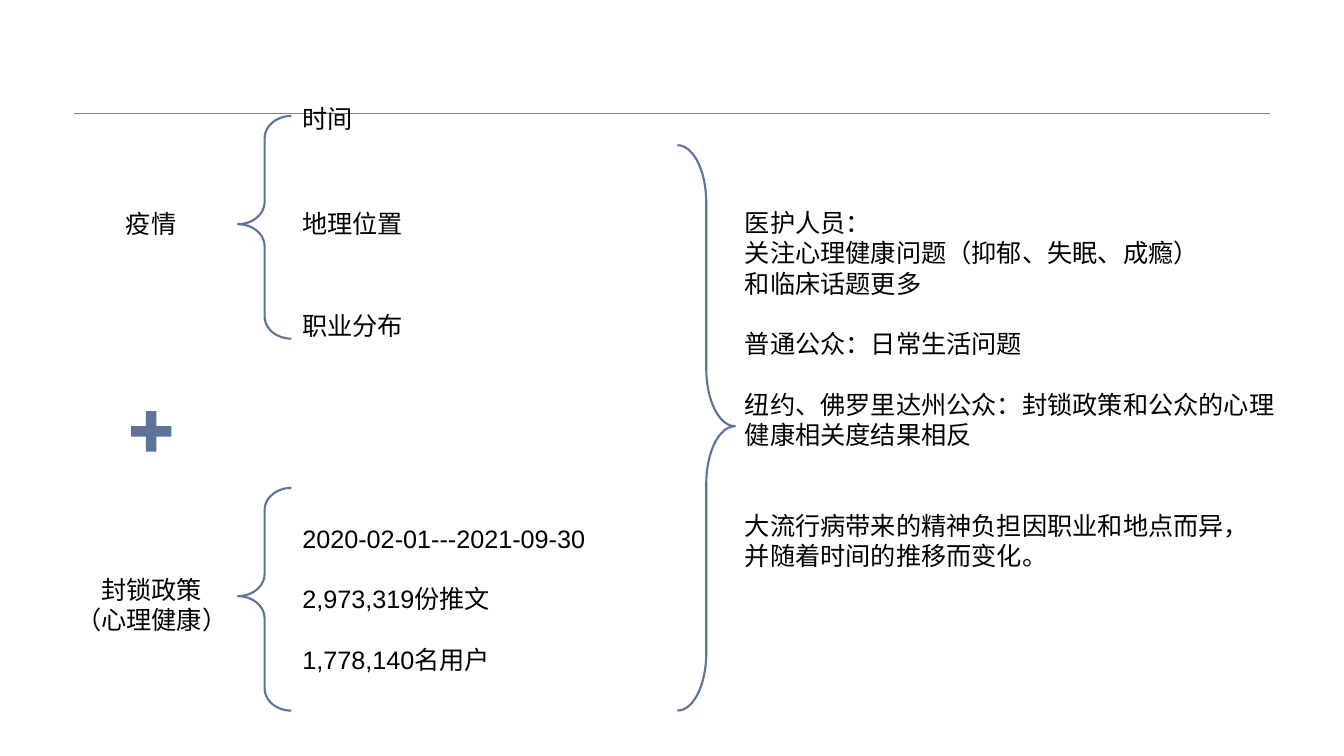
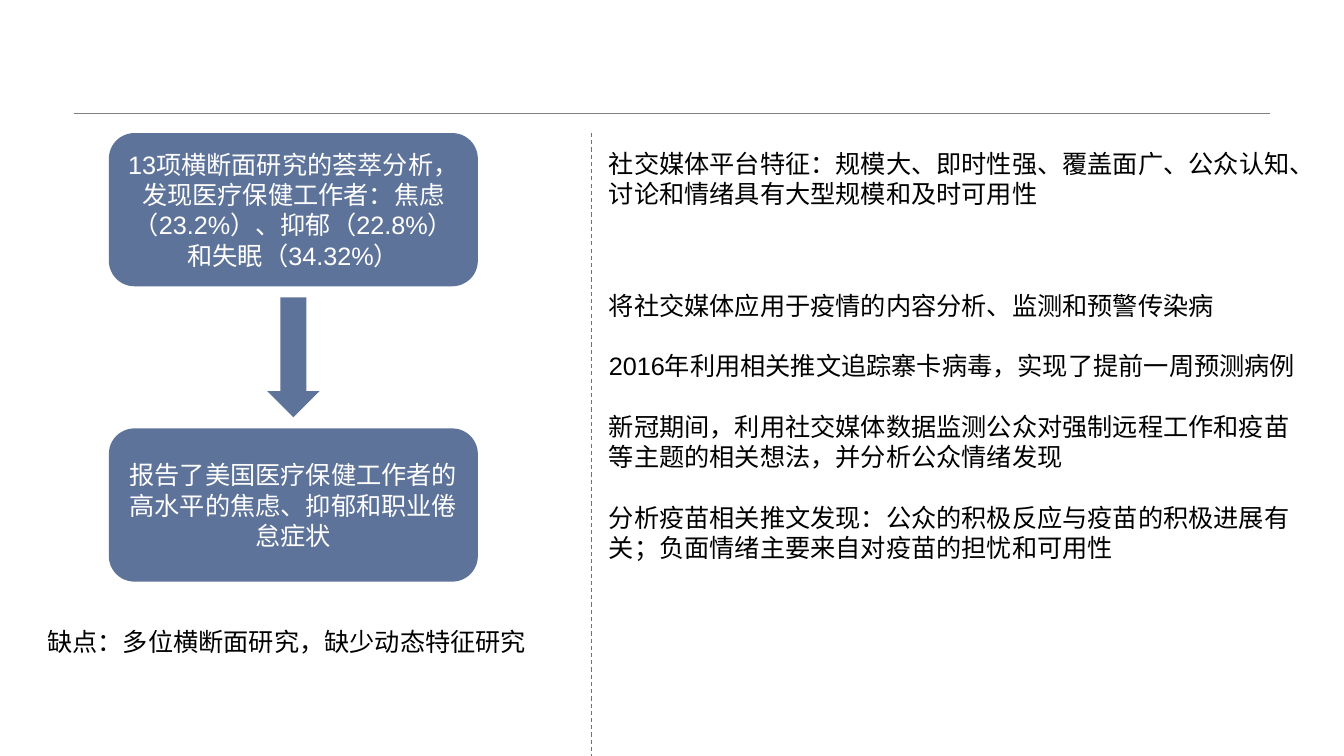
from lxml.etree import SubElement
from pptx import Presentation
from pptx.dml.color import RGBColor
from pptx.enum.dml import MSO_LINE
from pptx.enum.shapes import MSO_CONNECTOR, MSO_SHAPE as SHAPE
from pptx.enum.text import MSO_ANCHOR, MSO_AUTO_SIZE, PP_ALIGN as ALIGN
from pptx.oxml.ns import qn
from pptx.util import Pt

PX = 9144
BLUE = RGBColor(0x5D, 0x73, 0x9A)
GRAY = RGBColor(0x80, 0x80, 0x80)
BLACK = RGBColor(0, 0, 0)
WHITE = RGBColor(255, 255, 255)
FONT = "Arial"
SIZE = 18
GAP = 21.6

FACTORS = [("时间", 98, 71), ("地理位置", 202, 121), ("职业分布", 303, 121)]
DATASET = [
    ("2020-02-01---2021-09-30", 0),
    ("2,973,319份推文", 1),
    ("1,778,140名用户", 1),
]
FINDINGS = [
    ("医护人员：", 0),
    ("关注心理健康问题（抑郁、失眠、成瘾）", 0),
    ("和临床话题更多", 0),
    ("普通公众：日常生活问题", 1),
    ("纽约、佛罗里达州公众：封锁政策和公众的心理健康相关度结果相反", 1),
    ("大流行病带来的精神负担因职业和地点而异，", 2),
    ("并随着时间的推移而变化。", 0),
]
BRACES = [
    (SHAPE.LEFT_BRACE, (236, 115, 53, 221), (0.417, 0.486)),
    (SHAPE.LEFT_BRACE, (236, 484, 53, 221), (0.417, 0.486)),
    (SHAPE.RIGHT_BRACE, (672, 144, 57, 561), (1.003, 0.497)),
]
STUDIES = [
    ("13项横断面研究的荟萃分析，发现医疗保健工作者：焦虑（23.2%）、抑郁（22.8%）和失眠（34.32%）", 132),
    ("报告了美国医疗保健工作者的高水平的焦虑、抑郁和职业倦怠症状", 425),
]
DRAWBACK = "缺点：多位横断面研究，缺少动态特征研究"
PLATFORM = "社交媒体平台特征：规模大、即时性强、覆盖面广、公众认知、讨论和情绪具有大型规模和及时可用性"
APPLICATIONS = [
    ("将社交媒体应用于疫情的内容分析、监测和预警传染病", 0),
    ("2016年利用相关推文追踪寨卡病毒，实现了提前一周预测病例", 1),
    ("新冠期间，利用社交媒体数据监测公众对强制远程工作和疫苗等主题的相关想法，并分析公众情绪发现", 1),
    ("分析疫苗相关推文发现：公众的积极反应与疫苗的积极进展有关；负面情绪主要来自对疫苗的担忧和可用性", 1),
]


def px(*lengths):
    return [length * PX for length in lengths]


def write(frame, text, color=BLACK, align=ALIGN.LEFT, wrap=True):
    frame.word_wrap = wrap
    lines = [(text, 0)] if isinstance(text, str) else text
    for index, (line, gaps) in enumerate(lines):
        para = frame.add_paragraph() if index else frame.paragraphs[0]
        para.alignment = align
        if gaps:
            para.space_before = Pt(gaps * GAP)
        span = para.add_run()
        span.text = line
        span.font.name = FONT
        span.font.size = Pt(SIZE)
        span.font.color.rgb = color


def add_text(page, area, text, **style):
    box = page.shapes.add_textbox(*px(*area))
    write(box.text_frame, text, **style)
    box.text_frame.auto_size = MSO_AUTO_SIZE.SHAPE_TO_FIT_TEXT


def add_block(page, kind, area, adjust=()):
    block = page.shapes.add_shape(kind, *px(*area))
    block.shadow.inherit = False
    block.fill.solid()
    block.fill.fore_color.rgb = BLUE
    block.line.fill.background()
    for index, value in enumerate(adjust):
        block.adjustments[index] = value
    return block


def add_brace(page, kind, area, adjust):
    brace = add_block(page, kind, area, adjust)
    brace.fill.background()
    brace.line.color.rgb = BLUE
    brace.line.width = Pt(1.5)


def add_line(page, ends, color, width, dash=None):
    line = page.shapes.add_connector(MSO_CONNECTOR.STRAIGHT, *px(*ends))
    line.line.color.rgb = color
    line.line.width = Pt(width)
    if dash:
        line.line.dash_style = dash
    SubElement(line._element.spPr, qn("a:effectLst"))


def add_page(deck):
    page = deck.slides.add_slide(deck.slide_layouts[6])
    add_line(page, (73, 112, 1260, 112), GRAY, 0.25)
    return page


def build_framework(deck):
    page = add_page(deck)
    for kind, area, adjust in BRACES:
        add_brace(page, kind, area, adjust)
    add_text(page, (115, 202, 71, 40), "疫情", wrap=False)
    add_block(page, SHAPE.CROSS, (130, 408, 40, 40), (0.37,))
    add_text(page, (59, 565, 183, 71), [("封锁政策", 0), ("（心理健康）", 0)], align=ALIGN.CENTER)
    for label, top, width in FACTORS:
        add_text(page, (290, top, width, 40), label, wrap=False)
    add_text(page, (290, 514, 303, 162), DATASET, wrap=False)
    add_text(page, (729, 201, 567, 404), FINDINGS)


def build_background(deck):
    page = add_page(deck)
    for text, top in STUDIES:
        card = add_block(page, SHAPE.ROUNDED_RECTANGLE, (108, top, 366, 152))
        card.text_frame.vertical_anchor = MSO_ANCHOR.MIDDLE
        write(card.text_frame, text, color=WHITE, align=ALIGN.CENTER)
    add_block(page, SHAPE.DOWN_ARROW, (265, 295, 52, 119))
    add_text(page, (37, 616, 500, 40), DRAWBACK, wrap=False)
    add_line(page, (587, 132, 587, 750), BLUE, 0.75, MSO_LINE.DASH)
    add_text(page, (594, 142, 721, 71), PLATFORM)
    add_text(page, (594, 283, 707, 283), APPLICATIONS)


def main():
    deck = Presentation()
    deck.slide_width, deck.slide_height = px(1333, 750)
    build_framework(deck)
    build_background(deck)
    deck.save("out.pptx")


if __name__ == "__main__":
    main()
